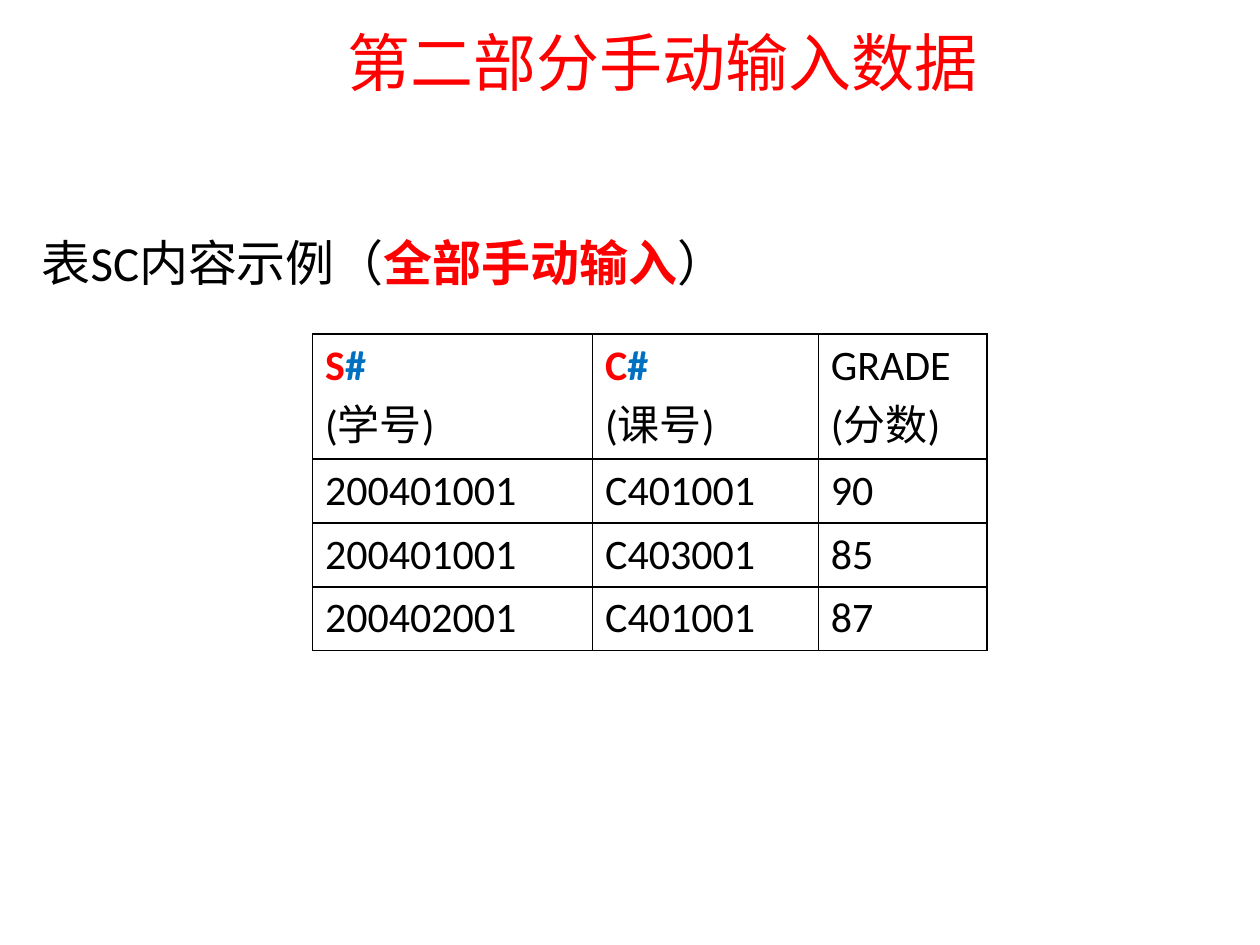
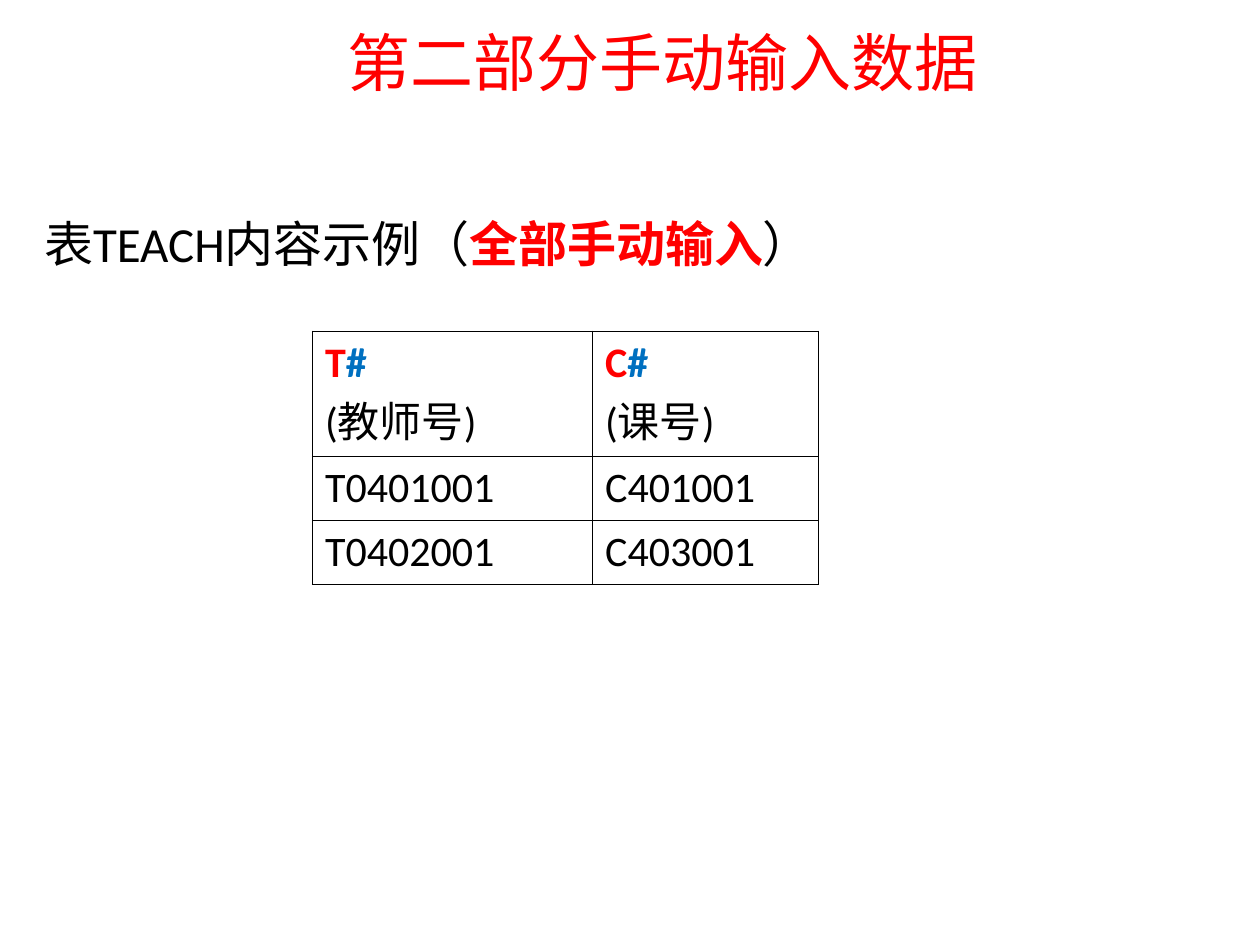
from lxml.etree import SubElement
from pptx import Presentation
from pptx.dml.color import RGBColor
from pptx.enum.text import MSO_ANCHOR as Anchor, PP_ALIGN as Align
from pptx.oxml.ns import qn
from pptx.util import Pt

COLORS = {"text": "000000", "accent": "FF0000", "hash": "0070C0", "border": "000000"}
FONT = "Calibri"
TITLE = "第二部分手动输入数据"
TITLE_BOX = (60.5, 10.8, 635.8, 48.2)
TABLE_LEFT = 178.6
COLUMN_WIDTHS = (160, 129, 96.5)
HEADER_HEIGHT, ROW_HEIGHT = 71.5, 36.5


def place(shape, box):
    shape.left, shape.top, shape.width, shape.height = map(Pt, box)


def set_font(paragraph, size):
    paragraph.font.name = FONT
    paragraph.font.size = Pt(size)


def add_runs(paragraph, *parts):
    """Each part is (text, colour name, bold)."""
    for text, color, bold in parts:
        run = paragraph.add_run()
        run.text = text
        run.font.color.rgb = RGBColor.from_string(COLORS[color])
        run.font.bold = bold


def add_title(slide):
    title = slide.shapes.title
    place(title, TITLE_BOX)
    title.text_frame.vertical_anchor = Anchor.MIDDLE
    paragraph = title.text_frame.paragraphs[0]
    paragraph.alignment = Align.CENTER
    set_font(paragraph, 36)
    add_runs(paragraph, (TITLE, "accent", False))


def add_caption(slide, table_name, box):
    body = slide.placeholders[1]
    place(body, box)
    paragraph = body.text_frame.paragraphs[0]
    paragraph.line_spacing = 0.9
    # The caption has no bullet
    SubElement(paragraph._p.get_or_add_pPr(), qn("a:buNone"))
    set_font(paragraph, 28)
    add_runs(paragraph, (f"表{table_name}内容示例（", "text", False),
             ("全部手动输入", "accent", True), ("）", "text", False))


def format_cell(cell):
    properties = cell._tc.get_or_add_tcPr()
    for side in ("a:lnL", "a:lnR", "a:lnT", "a:lnB"):
        line = SubElement(properties, qn(side), w=str(Pt(1)))
        fill = SubElement(line, qn("a:solidFill"))
        SubElement(fill, qn("a:srgbClr"), val=COLORS["border"])
    cell.fill.background()


def fill_header(cell, name, label):
    first = cell.text_frame.paragraphs[0]
    second = cell.text_frame.add_paragraph()
    set_font(first, 24)
    set_font(second, 24)
    # Key columns end in "#" and stand out in colour
    if name.endswith("#"):
        add_runs(first, (name[:-1], "accent", True), ("#", "hash", True))
    else:
        add_runs(first, (name, "text", False))
    add_runs(second, (f"({label})", "text", False))


def add_data_table(slide, top, headers, rows):
    widths = COLUMN_WIDTHS[:len(headers)]
    heights = [HEADER_HEIGHT] + [ROW_HEIGHT] * len(rows)
    table = slide.shapes.add_table(
        len(heights), len(widths), Pt(TABLE_LEFT), Pt(top),
        Pt(sum(widths)), Pt(sum(heights))).table
    table.first_row = table.horz_banding = False
    for column, width in zip(table.columns, widths):
        column.width = Pt(width)
    for row, height in zip(table.rows, heights):
        row.height = Pt(height)
    for cell in table.iter_cells():
        format_cell(cell)
    for index, (name, label) in enumerate(headers):
        fill_header(table.cell(0, index), name, label)
    for row_index, values in enumerate(rows, start=1):
        for column_index, value in enumerate(values):
            paragraph = table.cell(row_index, column_index).text_frame.paragraphs[0]
            set_font(paragraph, 24)
            add_runs(paragraph, (value, "text", False))


def add_example_slide(presentation, table_name, caption_box, table_top, headers, rows):
    slide = presentation.slides.add_slide(presentation.slide_layouts[1])
    add_title(slide)
    add_caption(slide, table_name, caption_box)
    add_data_table(slide, table_top, headers, rows)


def main():
    presentation = Presentation()
    presentation.slide_width, presentation.slide_height = Pt(720), Pt(540)

    # Grades table
    add_example_slide(
        presentation, "SC", (16.6, 133.2, 702, 406.8), 190.8,
        [("S#", "学号"), ("C#", "课号"), ("GRADE", "分数")],
        [("200401001", "C401001", "90"),
         ("200401001", "C403001", "85"),
         ("200402001", "C401001", "87")])

    # Teaching table
    add_example_slide(
        presentation, "TEACH", (18, 122.4, 687.6, 226.8), 189.4,
        [("T#", "教师号"), ("C#", "课号")],
        [("T0401001", "C401001"), ("T0402001", "C403001")])

    presentation.save("out.pptx")


if __name__ == "__main__":
    main()
